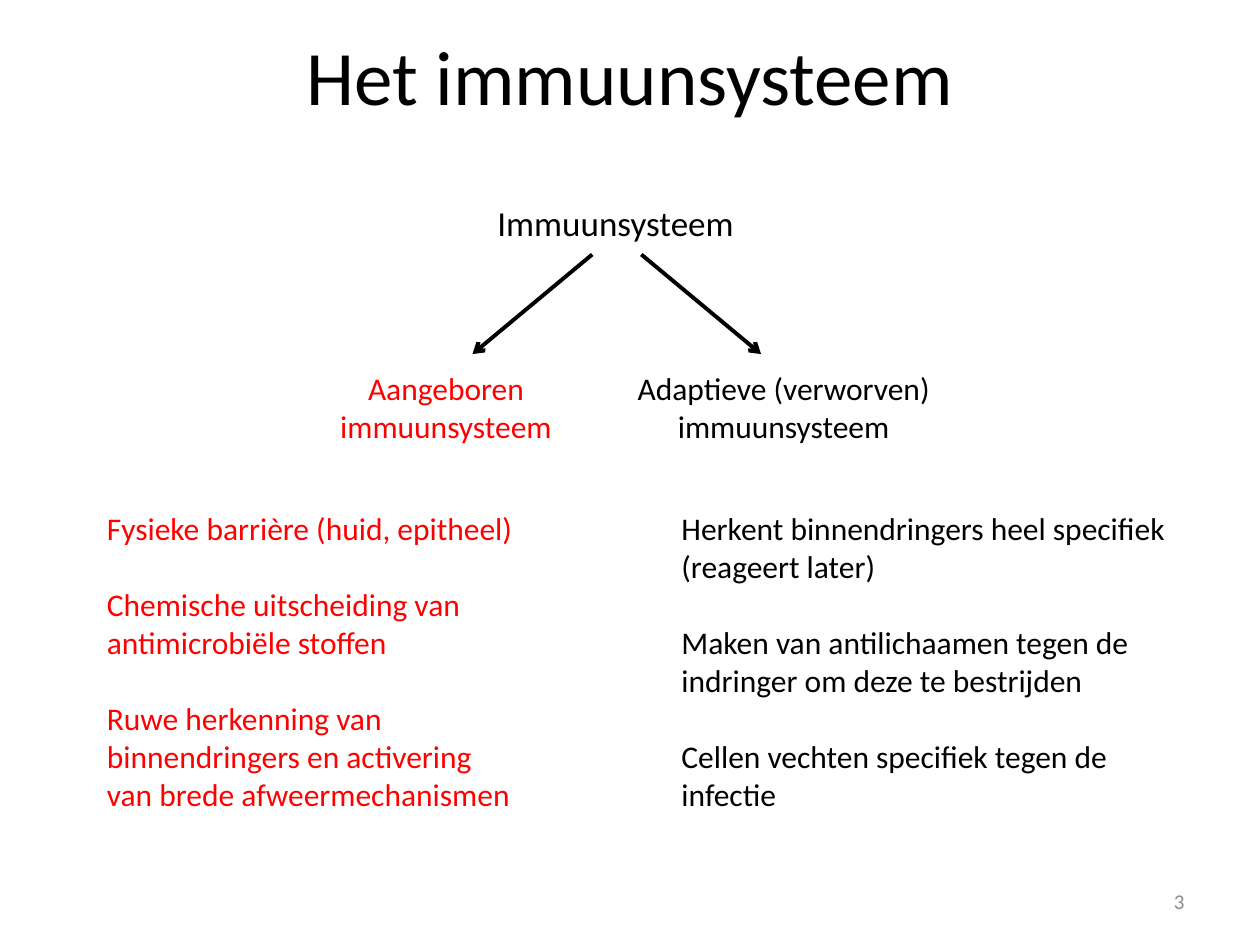
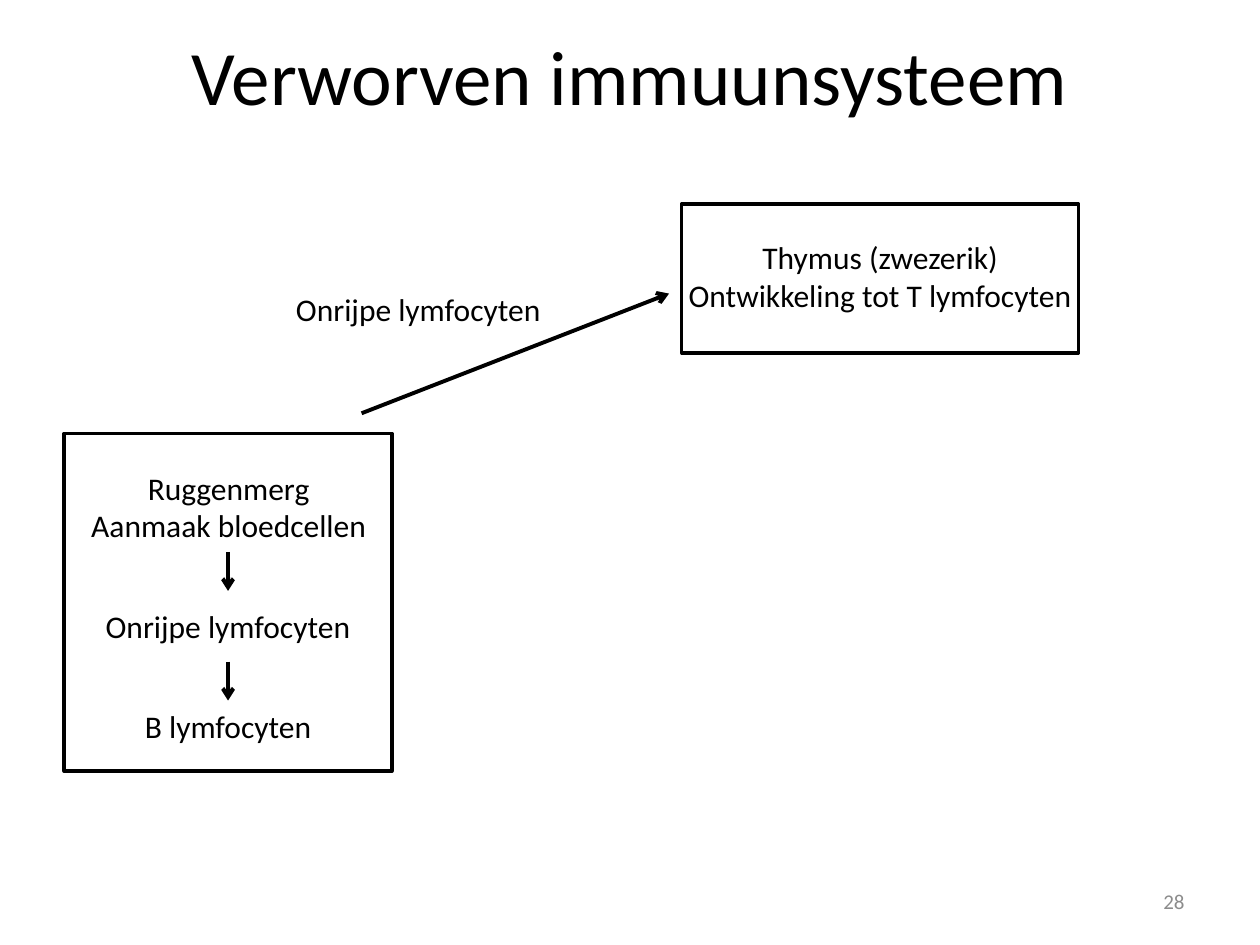
import pptx
import pptx.dml.color
import pptx.enum.shapes
import pptx.enum.text
import pptx.oxml
import pptx.oxml.ns
import pptx.util
from pptx.util import Inches

BLACK, RED, GREY = "000000", "FF0000", "8C8C8C"
FONT = "Calibri"
rgb = pptx.dml.color.RGBColor.from_string
ALIGN = pptx.enum.text.PP_ALIGN
ANCHOR = pptx.enum.text.MSO_ANCHOR


def add_text(s, text, x, y, w, h, size=18, color=BLACK, align=ALIGN.CENTER,
             anchor=ANCHOR.TOP, wrap=True, gap=0):
    """Add a text box with one paragraph per line of text."""
    tf = s.shapes.add_textbox(Inches(x), Inches(y), Inches(w), Inches(h)).text_frame
    tf.word_wrap = wrap
    tf.vertical_anchor = anchor
    for i, line in enumerate(text.split("\n")):
        p = tf.paragraphs[0] if i == 0 else tf.add_paragraph()
        p.alignment = align
        p.space_before = pptx.util.Pt(gap if i else 0)
        r = p.add_run()
        r.text = line
        r.font.name = FONT
        r.font.size = pptx.util.Pt(size)
        r.font.color.rgb = rgb(color)


def add_arrow(s, x1, y1, x2, y2):
    """Add a black arrow pointing at (x2, y2)."""
    c = s.shapes.add_connector(pptx.enum.shapes.MSO_CONNECTOR.STRAIGHT,
                               Inches(x1), Inches(y1), Inches(x2), Inches(y2))
    c.line.color.rgb = rgb(BLACK)
    c.line.width = pptx.util.Pt(2.25)
    ns = pptx.oxml.ns.nsdecls("a")
    c.line._get_or_add_ln().append(pptx.oxml.parse_xml(f'<a:tailEnd {ns} type="arrow"/>'))
    c._element.spPr.append(pptx.oxml.parse_xml(f"<a:effectLst {ns}/>"))


prs = pptx.Presentation()
prs.slide_width, prs.slide_height = Inches(10), Inches(7.5)

# Title and page number on every slide
slides = []
for title, number in [("Het immuunsysteem", "3"), ("Verworven immuunsysteem", "28")]:
    s = prs.slides.add_slide(prs.slide_layouts[6])
    add_text(s, title, 0.5, -0.03, 9, 1.25, size=44, anchor=ANCHOR.MIDDLE)
    add_text(s, number, 7.17, 6.95, 2.33, 0.4, size=12, color=GREY,
             align=ALIGN.RIGHT, anchor=ANCHOR.MIDDLE)
    slides.append(s)
overview, acquired = slides

# Overview: the immune system splits into two branches
add_text(overview, "Immuunsysteem", 3.85, 1.55, 2.1, 0.44, size=20,
         align=ALIGN.LEFT, wrap=False)
add_arrow(overview, 4.7, 2.02, 3.75, 2.81)
add_arrow(overview, 5.09, 2.02, 6.04, 2.81)

branches = [
    ("Aangeboren immuunsysteem", 2.24, RED, 0.75, 3.46,
     "Fysieke barrière (huid, epitheel)\n"
     "Chemische uitscheiding van antimicrobiële stoffen\n"
     "Ruwe herkenning van binnendringers en activering van brede afweermechanismen"),
    ("Adaptieve (verworven) immuunsysteem", 4.92, BLACK, 5.31, 4.09,
     "Herkent binnendringers heel specifiek (reageert later)\n"
     "Maken van antilichaamen tegen de indringer om deze te bestrijden\n"
     "Cellen vechten specifiek tegen de infectie"),
]
for name, name_x, color, x, w, features in branches:
    add_text(overview, name, name_x, 2.88, 2.6, 0.71, color=color)
    add_text(overview, features, x, 3.99, w, 2.52, color=color, align=ALIGN.LEFT, gap=22)

# Acquired: frames for bone marrow and thymus
for x, y, w, h in [(0.51, 3.44, 2.6, 2.68), (5.41, 1.62, 3.15, 1.18)]:
    sp = acquired.shapes.add_shape(pptx.enum.shapes.MSO_SHAPE.RECTANGLE,
                                   Inches(x), Inches(y), Inches(w), Inches(h))
    sp.shadow.inherit = False
    sp.fill.background()
    sp.line.color.rgb = rgb(BLACK)
    sp.line.width = pptx.util.Pt(2)

# Acquired: labels and the path of the lymphocytes
for text, x, y, w, h in [
    ("Ruggenmerg\nAanmaak bloedcellen", 0.61, 3.67, 2.41, 0.71),
    ("Onrijpe lymfocyten", 0.73, 4.77, 2.16, 0.4),
    ("B lymfocyten", 1.04, 5.56, 1.54, 0.4),
    ("Onrijpe lymfocyten", 2.24, 2.25, 2.16, 0.4),
    ("Thymus (zwezerik)\nOntwikkeling tot T lymfocyten", 5.35, 1.84, 3.27, 0.71),
]:
    add_text(acquired, text, x, y, w, h, wrap=False)
for y in (4.38, 5.25):
    add_arrow(acquired, 1.81, y, 1.81, y + 0.31)
add_arrow(acquired, 2.87, 3.28, 5.31, 2.33)

prs.save("out.pptx")
